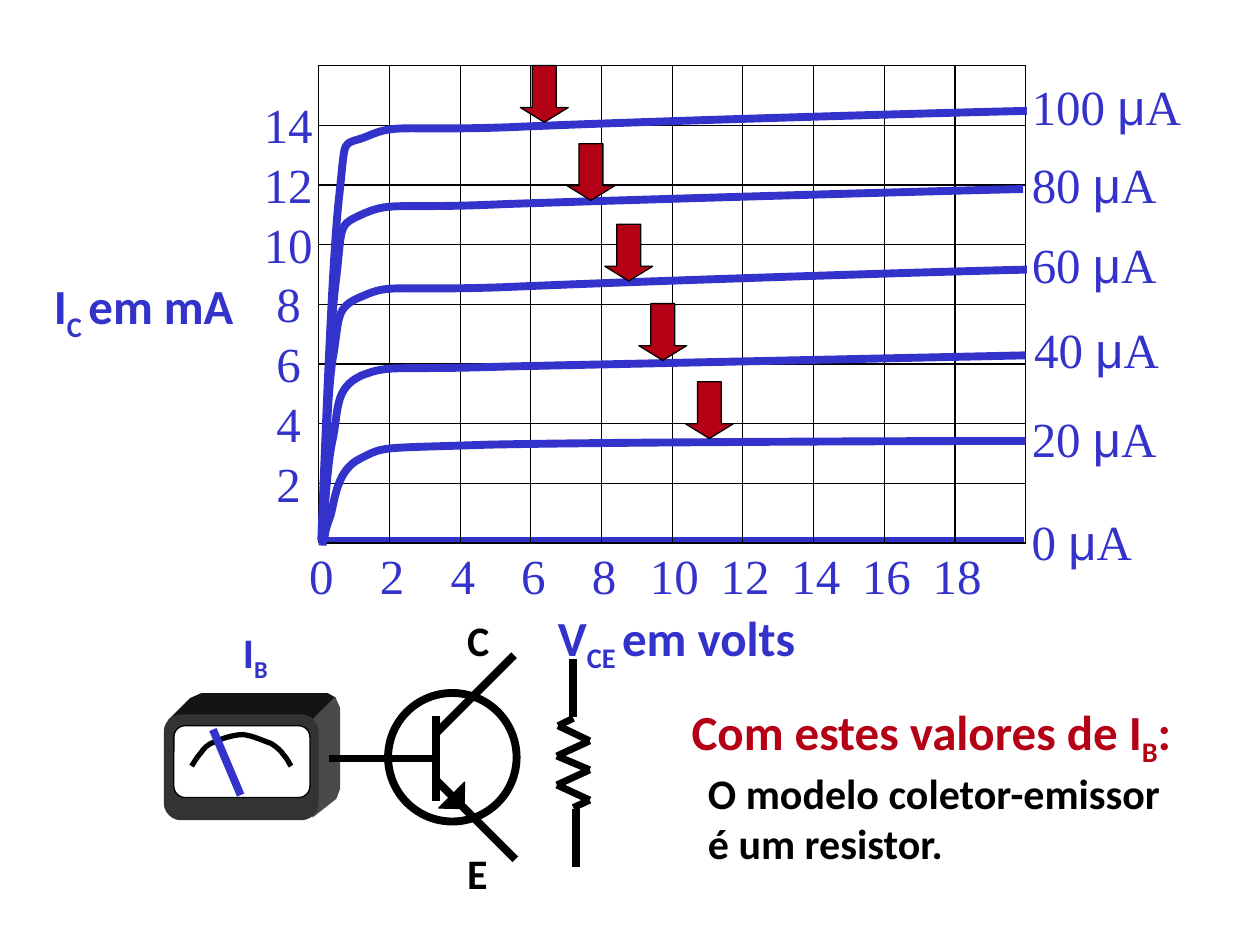
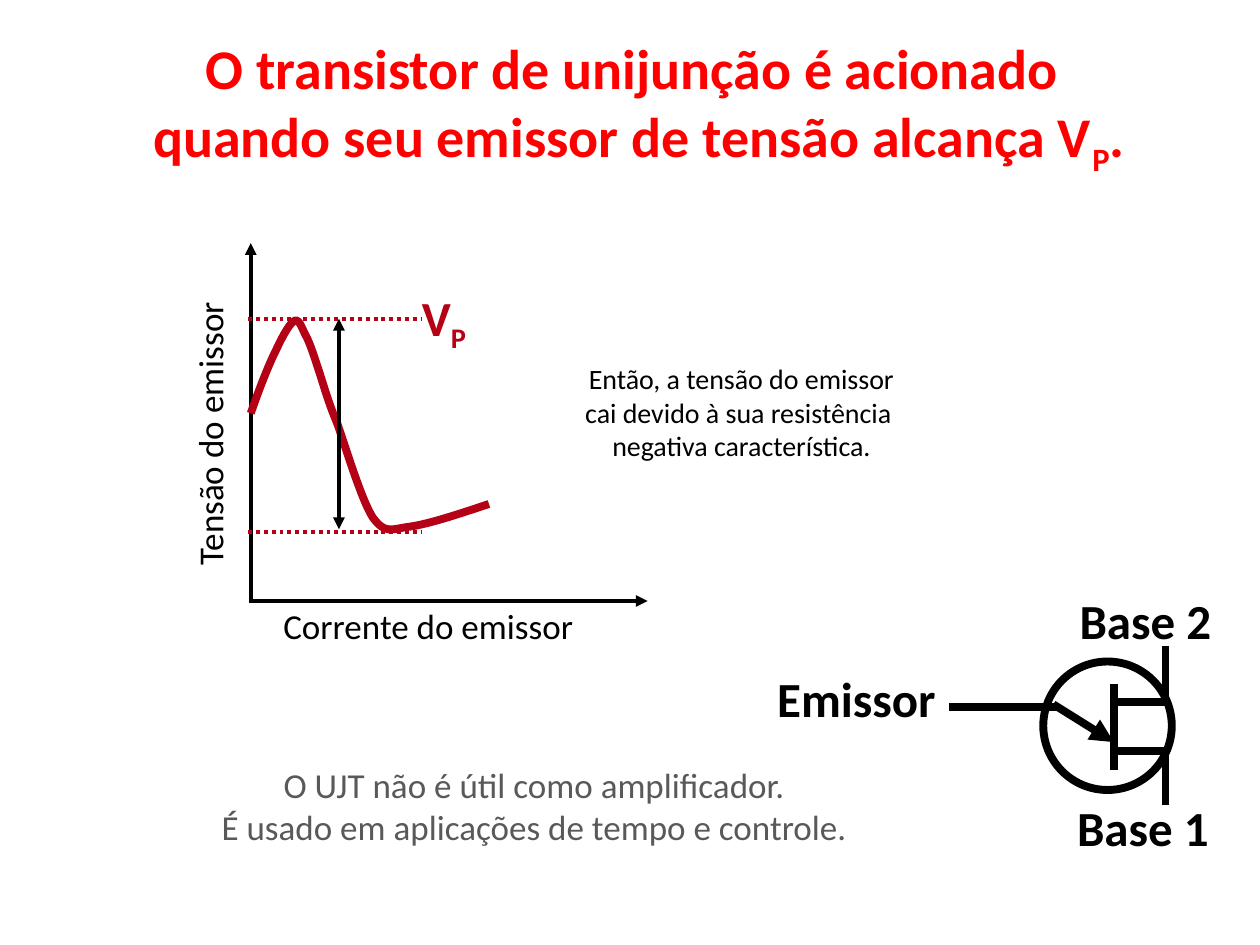
from itertools import pairwise

from lxml import etree
from pptx import Presentation
from pptx.dml.color import RGBColor
from pptx.enum.dml import MSO_LINE
from pptx.enum.shapes import MSO_CONNECTOR, MSO_SHAPE
from pptx.enum.text import MSO_AUTO_SIZE, PP_ALIGN
from pptx.oxml.ns import qn
from pptx.util import Inches, Pt

BLACK, WHITE, GRAY = "000000", "FFFFFF", "595959"
BLUE, DARK_RED, RED = "3333CC", "B50116", "FF0000"
THICK, THIN, AXIS = 4.5, 0.75, 2.25


def rgb(color):
    return RGBColor.from_string(color)


class Deck:
    """Holds the style and the current slide."""
    font = "Calibri"
    number_font = "Times New Roman"
    symbol_font = "Arial"

    def __init__(self):
        self.prs = Presentation()
        self.prs.slide_width, self.prs.slide_height = Inches(10), Inches(7.5)

    def new_slide(self):
        s = self.prs.slides.add_slide(self.prs.slide_layouts[6])
        self.shapes = s.shapes

    def text(self, box, text, size, color=BLACK, bold=False, font=None,
             center=False, rotation=0, wrap=False):
        """Underscores switch subscript on and off; newlines start paragraphs."""
        sp = self.shapes.add_textbox(*map(Inches, box))
        sp.rotation = rotation
        tf = sp.text_frame
        tf.word_wrap = wrap
        tf.auto_size = MSO_AUTO_SIZE.SHAPE_TO_FIT_TEXT
        for i, line in enumerate(text.split("\n")):
            p = tf.add_paragraph() if i else tf.paragraphs[0]
            p.alignment = PP_ALIGN.CENTER if center else PP_ALIGN.LEFT
            p.font.name, p.font.size = font or self.font, Pt(size)
            p.font.bold, p.font.color.rgb = bold, rgb(color)
            for j, part in enumerate(line.split("_")):
                r = p.add_run()
                r.text = part
                if j % 2:
                    r.font._element.set("baseline", "-25000")

    def number(self, box, text):
        self.text(box, text, 28, BLUE, font=self.number_font)

    def current_label(self, box, amount):
        """A base current in microamperes, with the Greek letter in its own font."""
        self.number(box, amount + " ")
        p = self.shapes[-1].text_frame.paragraphs[0]
        for text, font in (("μ", self.symbol_font), ("A", self.number_font)):
            r = p.add_run()
            r.text, r.font.name = text, font

    def paint(self, sp, fill=None, line=None, width=THIN):
        sp.shadow.inherit = False
        if fill:
            sp.fill.solid()
            sp.fill.fore_color.rgb = rgb(fill)
        else:
            sp.fill.background()
        if line:
            sp.line.color.rgb, sp.line.width = rgb(line), Pt(width)
        else:
            sp.line.fill.background()
        return sp

    def shape(self, kind, box, fill=None, line=None, width=THIN, adj=(), rotation=0):
        sp = self.shapes.add_shape(kind, *map(Inches, box))
        for i, value in enumerate(adj):
            sp.adjustments[i] = value
        sp.rotation = rotation
        return self.paint(sp, fill, line, width)

    def line(self, start, end, color=BLACK, width=THICK, dash=None, arrows=()):
        """arrows may name headEnd (at start) and tailEnd (at end), in that order."""
        c = self.shapes.add_connector(MSO_CONNECTOR.STRAIGHT, *map(Inches, (*start, *end)))
        c.line.color.rgb, c.line.width = rgb(color), Pt(width)
        if dash:
            c.line.dash_style = dash
        ln = c.line._get_or_add_ln()
        for arrow in arrows:
            etree.SubElement(ln, qn("a:" + arrow)).set("type", "triangle")
        etree.SubElement(c._element.spPr, qn("a:effectLst"))

    def outline(self, points, closed=False):
        (x, y), *rest = [tuple(map(Inches, point)) for point in points]
        fb = self.shapes.build_freeform(x, y)
        fb.add_line_segments(rest, close=closed)
        return fb.convert_to_shape()

    def polygon(self, points, fill):
        self.paint(self.outline(points, closed=True), fill)

    def curve(self, points, color, width=THICK):
        """Bézier curve: a start, then two control points and an end per segment."""
        sp = self.paint(self.outline(points), line=color, width=width)
        segments = list(sp._element.iter(qn("a:lnTo")))
        for i in range(0, len(segments), 3):
            bezier = etree.Element(qn("a:cubicBezTo"))
            segments[i].addprevious(bezier)
            for segment in segments[i:i + 3]:
                bezier.append(segment[0])
                segment.getparent().remove(segment)


# base current, label left and top, arrow left and top, curve points
CURVES = [
    ("20", (8.09, 3.19), (5.44, 3.03),
     [(2.57, 4.3), (2.58, 4.27), (2.57, 4.24), (2.61, 4.13), (2.66, 4.02), (2.65, 3.74),
      (2.86, 3.64), (3.06, 3.54), (2.98, 3.56), (3.86, 3.53), (4.74, 3.51), (7.24, 3.5),
      (8.14, 3.5)]),
    ("40", (8.11, 2.49), (5.07, 2.41),
     [(2.56, 4.33), (2.57, 4.19), (2.59, 3.71), (2.64, 3.49), (2.69, 3.26), (2.65, 3.08),
      (2.87, 2.98), (3.1, 2.89), (3.11, 2.94), (3.98, 2.91), (4.86, 2.89), (7.27, 2.84),
      (8.14, 2.82)]),
    ("60", (8.09, 1.81), (4.8, 1.78),
     [(2.56, 4.31), (2.57, 4.06), (2.59, 3.17), (2.64, 2.85), (2.7, 2.52), (2.65, 2.44),
      (2.88, 2.35), (3.1, 2.25), (3.11, 2.31), (3.99, 2.28), (4.87, 2.24), (7.28, 2.16),
      (8.15, 2.14)]),
    ("80", (8.09, 1.18), (4.5, 1.14),
     [(2.56, 4.31), (2.57, 3.95), (2.61, 2.63), (2.67, 2.2), (2.72, 1.76), (2.68, 1.79),
      (2.9, 1.69), (3.12, 1.6), (3.14, 1.66), (4.01, 1.62), (4.88, 1.59), (7.27, 1.52),
      (8.12, 1.5)]),
    ("100", (8.09, 0.56), (4.13, 0.52),
     [(2.55, 4.29), (2.57, 3.84), (2.63, 2.12), (2.69, 1.58), (2.75, 1.04), (2.7, 1.17),
      (2.92, 1.08), (3.15, 0.98), (3.17, 1.04), (4.04, 1.01), (4.91, 0.97), (7.29, 0.9),
      (8.15, 0.88)]),
]


def draw_collector_graph(deck):
    left, top, right, bottom, columns, rows = 2.53, 0.52, 8.14, 4.31, 10, 8
    col, row = (right - left) / columns, (bottom - top) / rows

    def axis_number(value, center, y):
        width = 0.19 + 0.2 * len(str(value))
        deck.number((center - width / 2, y, width, 0.52), str(value))

    for i in range(columns):
        axis_number(2 * i, 2.55 + col * i, 4.28)
    for i in range(1, rows):
        axis_number(2 * i, 2.29, 4.02 - row * i)
    deck.text((4.33, 4.77, 2.17, 0.57), "V_CE _em volts", 28, BLUE, True)
    deck.text((0.33, 2.14, 1.7, 0.57), "I_C _em mA", 28, BLUE, True)

    deck.line((2.55, 4.29), (8.13, 4.29), BLUE)
    deck.current_label((8.09, 4.01, 1, 0.52), "0")
    for i in range(columns + 1):
        x = left + col * i
        deck.line((x, top), (x, bottom), width=THIN)
    for i in range(rows + 1):
        y = top + row * i
        deck.line((left, y), (right, y), width=THIN)
    for amount, label_at, arrow_at, points in CURVES:
        deck.curve(points, BLUE)
        deck.current_label((*label_at, 0.79 + 0.2 * len(amount), 0.52), amount)
        deck.shape(MSO_SHAPE.DOWN_ARROW, (*arrow_at, 0.38, 0.45), DARK_RED, BLACK,
                   adj=(0.5, 0.306))


def draw_meter(deck):
    deck.polygon([(1.33, 5.72), (1.51, 5.54), (1.6, 5.5), (2.6, 5.5), (2.67, 5.54),
                  (2.49, 5.72)], "141414")
    deck.polygon([(2.48, 5.71), (2.66, 5.53), (2.7, 5.62), (2.7, 6.26), (2.67, 6.34),
                  (2.48, 6.49)], "4A4A4A")
    deck.shape(MSO_SHAPE.ROUNDED_RECTANGLE, (1.3, 5.67, 1.23, 0.84), "333333", adj=(0.165,))
    deck.shape(MSO_SHAPE.ROUNDED_RECTANGLE, (1.38, 5.76, 1.08, 0.57), WHITE, BLACK,
               adj=(0.158,))
    deck.curve([(1.52, 6.08), (1.53, 6.07), (1.56, 6.01), (1.59, 5.98), (1.62, 5.94),
                (1.64, 5.91), (1.7, 5.89), (1.76, 5.86), (1.86, 5.83), (1.93, 5.83),
                (2.01, 5.84), (2.09, 5.88), (2.15, 5.9), (2.2, 5.93), (2.23, 5.96),
                (2.25, 5.99), (2.28, 6.02), (2.3, 6.07), (2.31, 6.08)], BLACK, 3)
    deck.line((1.69, 5.79), (1.91, 6.31), BLUE)
    deck.text((1.83, 4.92, 0.42, 0.5), "I_B", 24, BLUE, True)


def draw_bipolar_transistor(deck):
    deck.shape(MSO_SHAPE.OVAL, (3.08, 5.5, 1.02, 1.02), line=BLACK, width=THICK)
    emitter, base = ((3.47, 6.2), (4.09, 6.82)), ((3.45, 6.02), (2.61, 6.02))
    collector, bar = ((3.46, 5.82), (4.08, 5.2)), ((3.46, 5.68), (3.46, 6.36))
    for start, end in (emitter, base, collector, bar):
        deck.line(start, end)
    deck.shape(MSO_SHAPE.RIGHT_TRIANGLE, (3.48, 6.21, 0.21, 0.2), BLACK, BLACK,
               rotation=271.3)
    deck.text((3.61, 4.83, 0.38, 0.51), "C", 24, bold=True)
    deck.text((3.61, 6.68, 0.37, 0.51), "E", 24, bold=True)


def draw_resistor(deck):
    zigzag = [(4.55, 5.7), (4.43, 5.76), (4.68, 5.88), (4.42, 6), (4.68, 6.11),
              (4.42, 6.23), (4.68, 6.35), (4.55, 6.41)]
    for start, end in pairwise(zigzag):
        deck.line(start, end, width=4)
    deck.line((4.55, 5.69), (4.55, 5.23))
    deck.line((4.57, 6.88), (4.57, 6.42))


def build_collector_slide(deck):
    deck.new_slide()
    draw_collector_graph(deck)
    draw_meter(deck)
    draw_bipolar_transistor(deck)
    draw_resistor(deck)
    deck.text((5.39, 5.52, 4.25, 0.57), "Com estes valores de I_B_:", 28, DARK_RED, True)
    deck.text((5.52, 6.04, 3.91, 0.91), "O modelo coletor-emissor\né um resistor.", 24,
              bold=True)


def draw_unijunction_transistor(deck):
    deck.shape(MSO_SHAPE.OVAL, (8.28, 5.25, 1.02, 1.02), line=BLACK, width=THICK)
    deck.line((8.38, 5.61), (7.53, 5.61))
    deck.line((8.84, 5.43), (8.84, 6.11))
    for y, lead_end in ((5.57, 5.13), (5.96, 6.39)):
        deck.line((8.84, y), (9.28, y))
        deck.line((9.25, y), (9.25, lead_end))
    deck.line((8.36, 5.59), (8.84, 5.89), arrows=["tailEnd"])
    for box, name in (((8.47, 4.64, 1.26, 0.57), "Base 2"),
                      ((8.45, 6.28, 1.26, 0.57), "Base 1"),
                      ((6.07, 5.26, 1.47, 0.57), "Emissor")):
        deck.text(box, name, 28, bold=True)


def draw_emitter_graph(deck):
    deck.line((1.99, 4.77), (1.99, 1.93), width=AXIS, arrows=["tailEnd"])
    deck.line((1.98, 4.77), (5.14, 4.77), width=AXIS, arrows=["tailEnd"])
    deck.curve([(1.99, 3.28), (2.06, 3.08), (2.13, 2.9), (2.19, 2.78), (2.25, 2.65),
                (2.3, 2.57), (2.33, 2.55), (2.37, 2.52), (2.39, 2.59), (2.42, 2.65),
                (2.46, 2.72), (2.49, 2.82), (2.53, 2.94), (2.57, 3.06), (2.6, 3.18),
                (2.68, 3.37), (2.75, 3.57), (2.87, 3.97), (2.96, 4.11), (3.06, 4.24),
                (3.1, 4.2), (3.25, 4.18), (3.4, 4.16), (3.64, 4.08), (3.88, 4)], DARK_RED)
    for y in (2.53, 4.22):
        deck.line((1.97, y), (3.35, y), DARK_RED, AXIS, MSO_LINE.ROUND_DOT)
    deck.line((2.69, 2.53), (2.69, 4.2), width=AXIS, arrows=["headEnd", "tailEnd"])
    deck.text((3.25, 2.23, 0.57, 0.57), "V_P", 28, DARK_RED, True)
    deck.text((2.15, 4.75, 3.51, 0.44), "Corrente do emissor", 20, wrap=True)
    deck.text((0.51, 3.21, 2.31, 0.44), "Tensão do emissor", 20, rotation=270)


def build_unijunction_slide(deck):
    deck.new_slide()
    draw_unijunction_transistor(deck)
    deck.text((1.09, 0.22, 7.96, 1.18),
              "O transistor de unijunção é acionado \n"
              "quando seu emissor de tensão alcança V_P_.", 32, RED, True, center=True)
    draw_emitter_graph(deck)
    deck.text((4.53, 2.82, 2.71, 0.91),
              "Então, a tensão do emissor\ncai devido à sua resistência \n"
              "negativa característica.", 16, center=True)
    deck.text((1.59, 6.01, 5.3, 0.77),
              "O UJT não é útil como amplificador.\n"
              "É usado em aplicações de tempo e controle.", 20, GRAY, center=True)


def main():
    deck = Deck()
    build_collector_slide(deck)
    build_unijunction_slide(deck)
    deck.prs.save("out.pptx")


if __name__ == "__main__":
    main()
